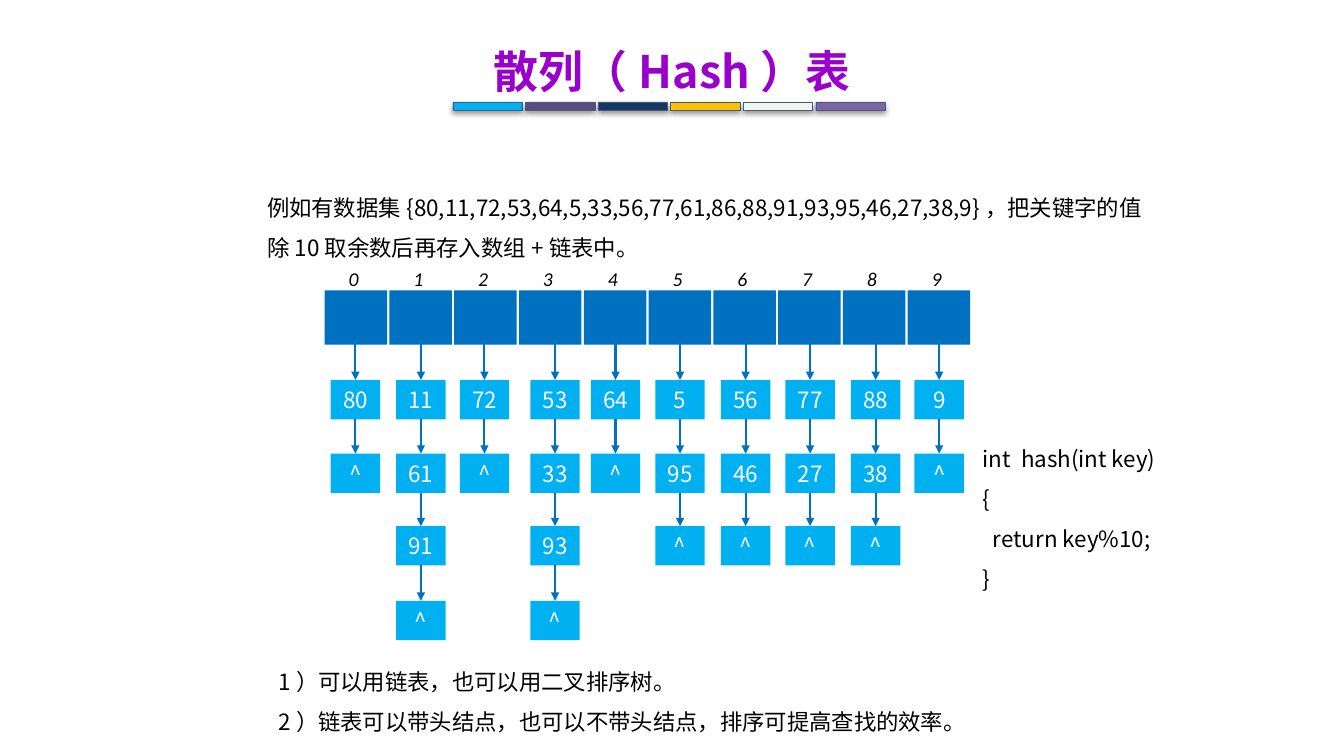
from lxml.etree import SubElement
from pptx import Presentation
from pptx.dml.color import RGBColor as RGB
from pptx.enum.shapes import MSO_CONNECTOR as CONN, MSO_SHAPE as SHAPE
from pptx.enum.text import MSO_ANCHOR as ANCHOR, MSO_AUTO_SIZE as AUTO, PP_ALIGN as ALIGN
from pptx.oxml.ns import qn
from pptx.util import Inches, Pt

HUE = {"title": "9900CC", "text": "000000", "white": "FFFFFF", "slot": "0070C0",
       "node": "00B0F0", "edge": "3A5F8C"}
BARS = ["00B0F0", "604A7B", "17375E", "FFC000", "F5F4ED", "8064A2"]
SANS = "Noto Sans CJK SC"


def write(frame, lines, size=16, hue="text", face=SANS, gap=1.0, align=ALIGN.LEFT):
    """Fill a text frame with one paragraph per line."""
    frame.text = "\n".join(lines)
    for para in frame.paragraphs:
        para.alignment, para.line_spacing, para.space_before = align, gap, Pt(0)
        font = para.font
        font.size, font.name = Pt(size), face
        font.color.rgb = RGB.from_string(HUE[hue])
        SubElement(para._p.pPr.find(qn("a:defRPr")), qn("a:ea"), typeface=face)


def rect(x, y, w, h, fill):
    """Add a plain rectangle without line or shadow."""
    box = slide.shapes.add_shape(SHAPE.RECTANGLE, Inches(x), Inches(y), Inches(w), Inches(h))
    box.shadow.inherit = False
    box.fill.solid()
    box.fill.fore_color.rgb = RGB.from_string(fill)
    box.line.fill.background()
    return box


deck = Presentation()
deck.slide_width, deck.slide_height = Inches(13.33), Inches(7.5)
slide = deck.slides.add_slide(deck.slide_layouts[1])
title, notes = slide.placeholders

# Title
title.left, title.top, title.width, title.height = map(Inches, (0, 0.12, 13.33, 0.91))
title.text_frame.auto_size = AUTO.NONE
title.text_frame.vertical_anchor = ANCHOR.TOP
write(title.text_frame, ["散列（Hash）表"], 32, "title", gap=1.5, align=ALIGN.CENTER)
title.text_frame.paragraphs[0].font.bold = True

# Colour strip under the title
for i, fill in enumerate(BARS):
    bar = rect(4.49 + 0.72 * i, 1.01, 0.69, 0.08, fill)
    bar.line.color.rgb = RGB.from_string(HUE["edge"])
    bar.line.width = Pt(0.25)
    glow = SubElement(bar._element.spPr.find(qn("a:effectLst")), qn("a:outerShdw"),
                      blurRad=str(Pt(4)), dist=str(Pt(3)), dir="5400000", rotWithShape="0")
    tint = SubElement(glow, qn("a:srgbClr"), val="000000")
    SubElement(tint, qn("a:alpha"), val="40000")

# Notes list
notes.left, notes.top, notes.width, notes.height = map(Inches, (2.66, 6.44, 9.01, 0.91))
notes.text_frame.auto_size = AUTO.NONE
write(notes.text_frame, ["1）可以用链表，也可以用二叉排序树。",
                         "2）链表可以带头结点，也可以不带头结点，排序可提高查找的效率。"], gap=1.5)
for para in notes.text_frame.paragraphs:
    prop = para._p.pPr
    prop.set("marL", "0")
    prop.set("indent", "0")
    prop.find(qn("a:defRPr")).addprevious(SubElement(prop, qn("a:buNone")))

# Data set and hash function
DATA = ["例如有数据集{80,11,72,53,64,5,33,56,77,61,86,88,91,93,95,46,27,38,9}，"
        "把关键字的值除10取余数后再存入数组+链表中。"]
CODE = ["int  hash(int key)", "{", "return key%10;", "}"]
for x, y, w, h, lines in [(2.55, 1.74, 9.01, 0.91, DATA), (9.65, 4.23, 2.34, 1.72, CODE)]:
    note = slide.shapes.add_textbox(Inches(x), Inches(y), Inches(w), Inches(h))
    note.text_frame.word_wrap = True
    write(note.text_frame, lines, gap=1.5)
note.text_frame.paragraphs[2]._p.pPr.set("marL", str(Inches(0.1)))

# Hash table: array slots on top, one chain below each
CHAINS = [["80"], ["11", "61", "91"], ["72"], ["53", "33", "93"], ["64"],
          ["5", "95"], ["56", "46"], ["77", "27"], ["88", "38"], ["9"]]
LEFTS = [3.28, 3.93, 4.56, 5.26, 5.86, 6.5, 7.15, 7.79, 8.44, 9.07]
TOPS = [3.77, 4.5, 5.22, 5.96]
WIDE, HIGH = 0.49, 0.39
for i, (chain, left) in enumerate(zip(CHAINS, LEFTS)):
    shift = 0.6425 * i
    rect(3.22 + shift, 2.88, 0.62, 0.54, HUE["slot"])
    label = slide.shapes.add_textbox(Inches(3.36 + shift), Inches(2.6), Inches(0.3), Inches(0.34))
    label.text_frame.word_wrap = False
    write(label.text_frame, [str(i)], 14, face="Calibri")
    label.text_frame.paragraphs[0].font.italic = True

    start, mid = 3.41, Inches(left + WIDE / 2)
    for key, top in zip(chain + ["^"], TOPS):
        link = slide.shapes.add_connector(CONN.STRAIGHT, mid, Inches(start), mid, Inches(top))
        link.line.color.rgb = RGB.from_string(HUE["slot"])
        link.line.width = Pt(1.5)
        SubElement(link.line._get_or_add_ln(), qn("a:tailEnd"), type="triangle")
        SubElement(link._element.spPr, qn("a:effectLst"))
        node = rect(left, top, WIDE, HIGH, HUE["node"])
        node.text_frame.vertical_anchor = ANCHOR.MIDDLE
        write(node.text_frame, [key], hue="white", align=ALIGN.CENTER)
        start = top + HIGH

deck.save("out.pptx")
